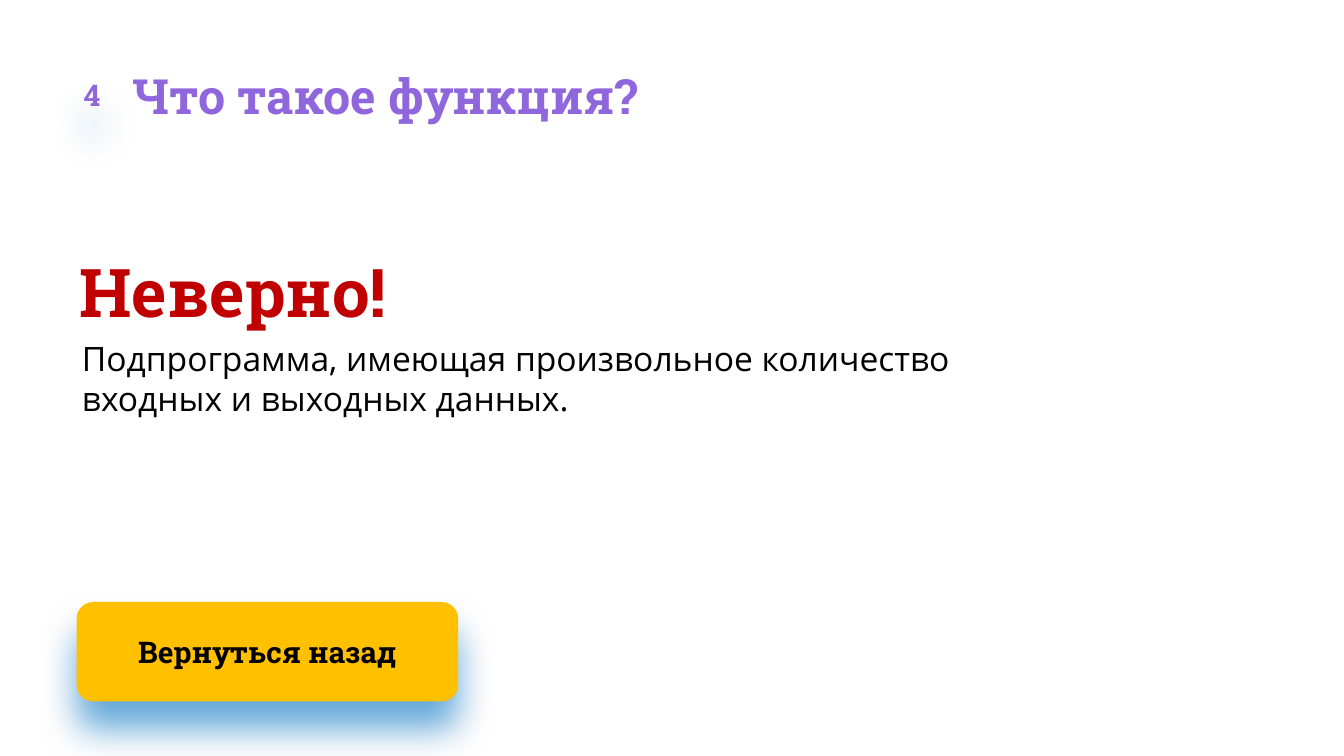
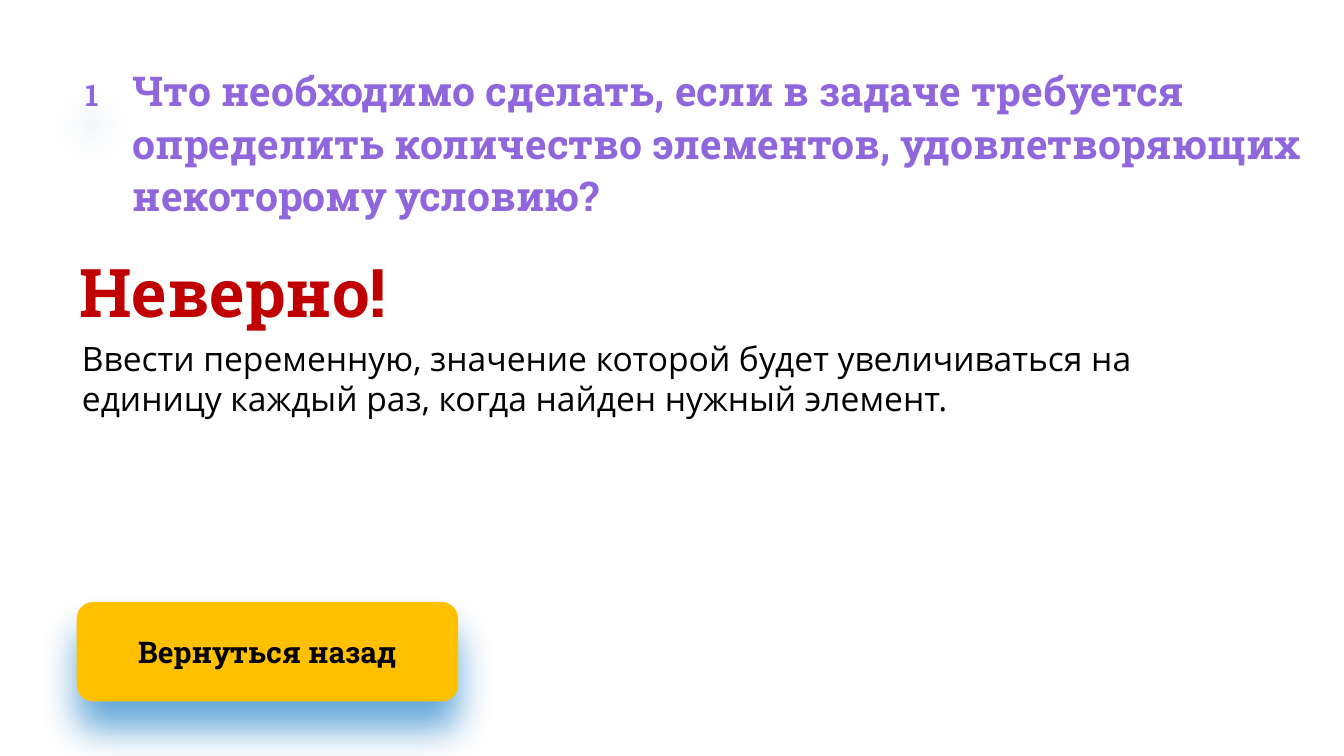
from lxml import etree
from pptx import Presentation
from pptx.dml.color import RGBColor
from pptx.enum.shapes import MSO_SHAPE
from pptx.enum.text import MSO_ANCHOR, MSO_AUTO_SIZE, PP_ALIGN
from pptx.oxml.ns import qn
from pptx.util import Cm, Pt

ROUNDED = MSO_SHAPE.ROUNDED_RECTANGLE
TOP, MIDDLE = MSO_ANCHOR.TOP, MSO_ANCHOR.MIDDLE
LEFT, CENTER = PP_ALIGN.LEFT, PP_ALIGN.CENTER
GROW, FIXED = MSO_AUTO_SIZE.SHAPE_TO_FIT_TEXT, MSO_AUTO_SIZE.NONE

HEADING_FONT, BODY_FONT = "Roboto Slab", "Open Sans"
PURPLE, RED, YELLOW, BLUE, BLACK = "9066DC", "C00000", "FFC000", "0070C0", "000000"
TITLE_SPACING = 1.06

ANSWERS = [
    dict(
        number="4",
        question="Что такое функция?",
        question_size=26,
        question_box=(2.51, 1.19, 22.53, 1.12),
        answer="Подпрограмма, имеющая произвольное количество входных и выходных данных.",
        answer_width=17.86,
    ),
    dict(
        number="1",
        question="Что необходимо сделать, если в задаче требуется определить "
                 "количество элементов, удовлетворяющих некоторому условию?",
        question_size=22,
        question_box=(2.51, 1.19, 22.38, 2.95),
        answer="Ввести переменную, значение которой будет увеличиваться на единицу "
               "каждый раз, когда найден нужный элемент.",
        answer_width=20.55,
    ),
]


def color(value):
    return RGBColor.from_string(value)


def lengths(values):
    return [Cm(value) for value in values]


def write(shape, text, size, ink=BLACK, font=HEADING_FONT, bold=True, align=LEFT,
          anchor=TOP, spacing=None, insets=(0, 0, 0, 0), fit=GROW):
    frame = shape.text_frame
    frame.word_wrap = True
    frame.auto_size = fit
    frame.vertical_anchor = anchor
    (frame.margin_left, frame.margin_top,
     frame.margin_right, frame.margin_bottom) = lengths(insets)
    para = frame.paragraphs[0]
    para.alignment = align
    if spacing:
        para.line_spacing = spacing
    span = para.add_run()
    span.text = text
    span.font.name = font
    span.font.size = Pt(size)
    span.font.bold = bold
    span.font.color.rgb = color(ink)


def add_text(page, box, text, size, **style):
    write(page.shapes.add_textbox(*lengths(box)), text, size, **style)


def add_soft_shadow(shape):
    """Cast a blurred blue shadow straight down."""
    shape.shadow.inherit = False
    effects = shape.element.spPr.find(qn("a:effectLst"))
    shadow = etree.SubElement(
        effects, qn("a:outerShdw"), blurRad=str(Pt(20)), dist=str(Pt(15)),
        dir="5400000", algn="t", rotWithShape="0")
    tint = etree.SubElement(shadow, qn("a:srgbClr"), val=BLUE)
    etree.SubElement(tint, qn("a:alpha"), val="60000")


def add_rounded(page, box, text, fill=None, **style):
    shape = page.shapes.add_shape(ROUNDED, *lengths(box))
    if fill:
        shape.fill.solid()
        shape.fill.fore_color.rgb = color(fill)
    else:
        shape.fill.background()
    shape.line.fill.background()
    add_soft_shadow(shape)
    write(shape, text, 16, align=CENTER, anchor=MIDDLE, **style)


def set_title(page, box, text, size):
    title = page.shapes.title
    title.left, title.top, title.width, title.height = lengths(box)
    write(title, text, size, ink=PURPLE, spacing=TITLE_SPACING)


def add_answer_page(deck, number, question, question_size, question_box,
                    answer, answer_width):
    page = deck.slides.add_slide(deck.slide_layouts[5])
    add_rounded(page, (1.45, 11.38, 7.21, 1.88), "Вернуться назад", fill=YELLOW,
                insets=(0.99, 0.51, 0.99, 0.51))
    add_text(page, (1.5, 4.65, 7.11, 1.55), "Неверно!", 36, ink=RED,
             spacing=TITLE_SPACING)
    add_text(page, (1.19, 6.38, answer_width, 1.55), answer, 18, font=BODY_FONT,
             bold=False, insets=(0.36, 0, 0, 0))
    set_title(page, question_box, question, question_size)
    add_rounded(page, (0.99, 1.04, 1.5, 1.5), number, ink=PURPLE, fit=FIXED)


def main():
    deck = Presentation()
    deck.slide_width, deck.slide_height = Cm(25.4), Cm(14.29)
    for answer in ANSWERS:
        add_answer_page(deck, **answer)
    deck.save("out.pptx")


if __name__ == "__main__":
    main()
